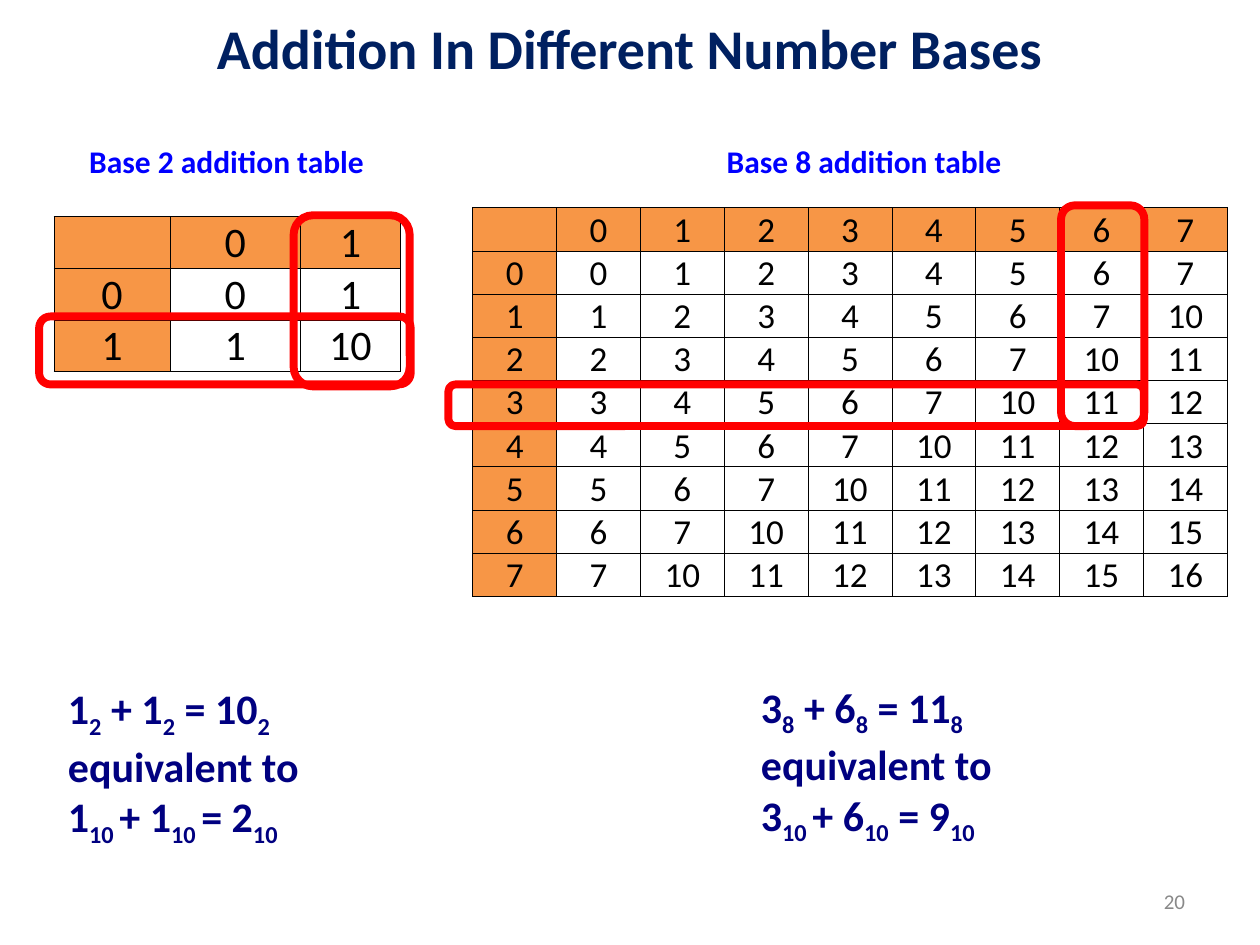
import pptx
import pptx.util
import pptx.dml.color
import pptx.enum.text
import pptx.enum.shapes
import pptx.oxml.ns
import lxml.etree

Cm = pptx.util.Cm
Pt = pptx.util.Pt
RGBColor = pptx.dml.color.RGBColor
Align = pptx.enum.text.PP_ALIGN
Anchor = pptx.enum.text.MSO_ANCHOR

NAVY = RGBColor(0x00, 0x20, 0x60)
INDIGO = RGBColor(0x00, 0x00, 0x80)
BLUE = RGBColor(0x00, 0x00, 0xFF)
RED = RGBColor(0xFF, 0x00, 0x00)
ORANGE = RGBColor(0xF7, 0x96, 0x46)
GRAY = RGBColor(0x89, 0x89, 0x89)
BLACK = RGBColor(0x00, 0x00, 0x00)


def style(para, size, color, bold=False, align=Align.LEFT):
    para.alignment = align
    para.font.name = "Calibri"
    para.font.size = Pt(size)
    para.font.bold = bold
    para.font.color.rgb = color


def border(cell):
    props = cell._tc.get_or_add_tcPr()
    for spot, side in enumerate(("lnL", "lnR", "lnT", "lnB")):
        line = lxml.etree.Element(pptx.oxml.ns.qn("a:" + side), w=str(Pt(0.5)))
        fill = lxml.etree.SubElement(line, pptx.oxml.ns.qn("a:solidFill"))
        lxml.etree.SubElement(fill, pptx.oxml.ns.qn("a:srgbClr"), val=str(BLACK))
        props.insert(spot, line)


deck = pptx.Presentation()
deck.slide_width = Cm(25.4)
deck.slide_height = Cm(19.05)
slide = deck.slides.add_slide(deck.slide_layouts[5])
shapes = slide.shapes

title = shapes.title
title.left, title.top, title.width, title.height = Cm(0), Cm(0), Cm(25.4), Cm(1.9)
title.text_frame.text = "Addition In Different Number Bases"
title.text_frame.vertical_anchor = Anchor.MIDDLE
style(title.text_frame.paragraphs[0], 32, NAVY, True, Align.CENTER)

page = shapes.add_textbox(Cm(18.21), Cm(17.65), Cm(5.93), Cm(1.02)).text_frame
page.word_wrap = True
page.vertical_anchor = Anchor.MIDDLE
page.text = "20"
style(page.paragraphs[0], 12, GRAY, align=Align.RIGHT)

tables = [
    ("b", 1.09, 4.37, [2.34, 2.62, 2.03], 1.04, 24, Anchor.BOTTOM),
    ("o", 9.53, 4.19, [1.69] * 9, 0.87, 20, Anchor.MIDDLE),
]
for code, left, top, widths, height, size, anchor in tables:
    count = len(widths)
    table = shapes.add_table(count, count, Cm(left), Cm(top),
                             Cm(sum(widths)), Cm(height * count)).table
    table.first_row = False
    table.horz_banding = False
    for col, width in zip(table.columns, widths):
        col.width = Cm(width)
    for row in range(count):
        table.rows[row].height = Cm(height)
        for col in range(count):
            cell = table.cell(row, col)
            cell.margin_left = cell.margin_right = cell.margin_top = Cm(0.02)
            cell.margin_bottom = Cm(0)
            cell.vertical_anchor = anchor
            head = row == 0 or col == 0
            if head:
                cell.fill.solid()
                cell.fill.fore_color.rgb = ORANGE
            else:
                cell.fill.background()
            border(cell)
            if row or col:
                total = max(row - 1, 0) + max(col - 1, 0)
                cell.text = format(total, code)
            style(cell.text_frame.paragraphs[0], size, BLACK, align=Align.CENTER)

for left, base in ((1.55, 2), (14.4, 8)):
    label = shapes.add_textbox(Cm(left), Cm(2.74), Cm(6.1), Cm(1.02)).text_frame
    label.word_wrap = False
    label.text = f"Base {base} addition table"
    style(label.paragraphs[0], 18, BLUE, True)

sums = [
    (15.09, 13.61, 5.38, 4.37, ["3_8_ + 6_8_ = 11_8", "equivalent to", "3_10 _+ 6_10_ = 9_10"]),
    (1.12, 13.64, 6.55, 3.33, ["1_2_ + 1_2_ = 10_2", "equivalent to", "1_10 _+ 1_10 _= 2_10"]),
]
for left, top, width, height, lines in sums:
    frame = shapes.add_textbox(Cm(left), Cm(top), Cm(width), Cm(height)).text_frame
    frame.word_wrap = True
    for num, line in enumerate(lines):
        para = frame.add_paragraph() if num else frame.paragraphs[0]
        style(para, 24, INDIGO, True)
        for part, text in enumerate(line.split("_")):
            run = para.add_run()
            run.text = text
            if part % 2:
                run._r.get_or_add_rPr().set("baseline", "-25000")

rings = [
    (9.04, 7.75, 14.02, 0.84),
    (5.92, 4.34, 2.34, 3.45),
    (0.79, 6.38, 7.49, 1.37),
    (21.39, 4.14, 1.68, 4.45),
]
for box in rings:
    ring = shapes.add_shape(pptx.enum.shapes.MSO_SHAPE.ROUNDED_RECTANGLE, *map(Cm, box))
    ring.shadow.inherit = False
    ring.fill.background()
    ring.line.color.rgb = RED
    ring.line.width = Pt(4.5)

deck.save("out.pptx")
